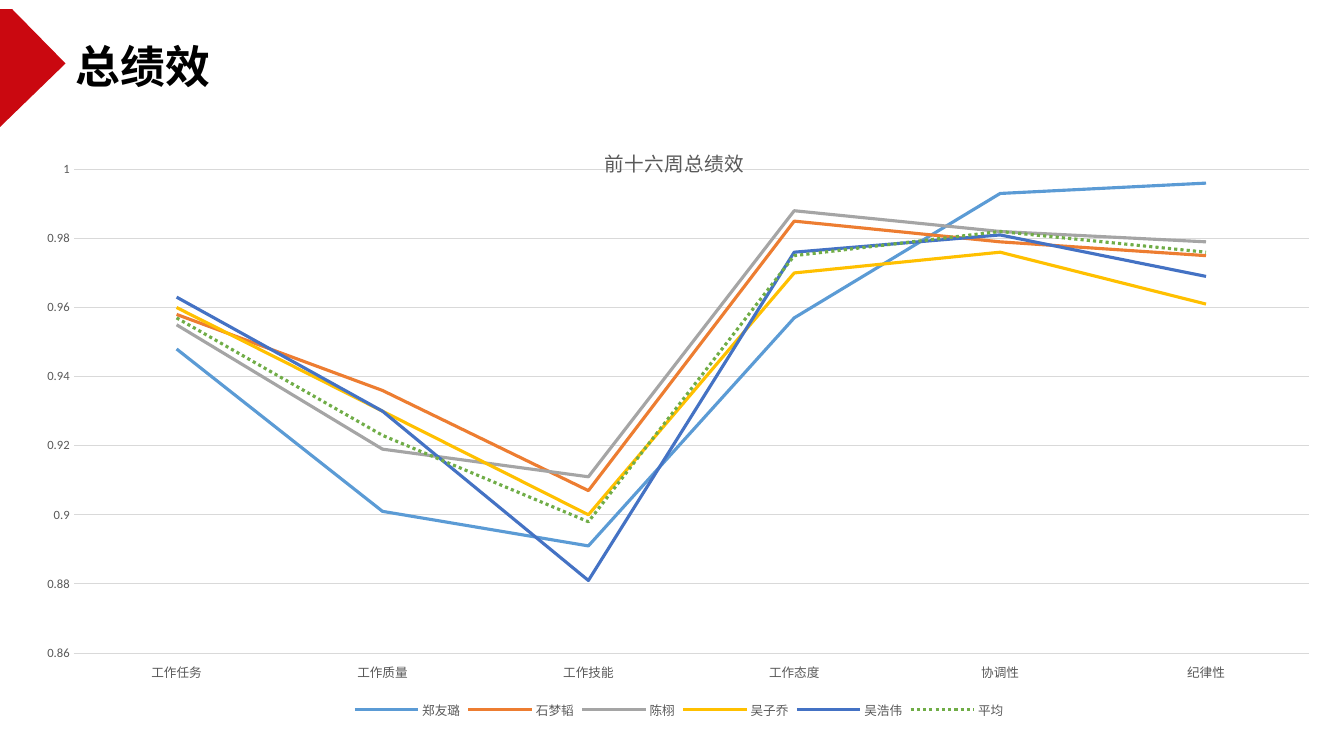
from lxml import etree
from pptx import Presentation
from pptx.chart.data import CategoryChartData
from pptx.dml.color import RGBColor
from pptx.enum.chart import XL_CHART_TYPE, XL_LEGEND_POSITION, XL_TICK_LABEL_POSITION, XL_TICK_MARK
from pptx.enum.dml import MSO_LINE
from pptx.enum.text import MSO_ANCHOR, PP_ALIGN
from pptx.oxml import parse_xml
from pptx.oxml.ns import nsdecls, qn
from pptx.util import Inches, Pt

LINE = XL_CHART_TYPE.LINE
BOTTOM = XL_LEGEND_POSITION.BOTTOM
LOW = XL_TICK_LABEL_POSITION.LOW
NO_TICK = XL_TICK_MARK.NONE
DOTTED = MSO_LINE.ROUND_DOT
MIDDLE = MSO_ANCHOR.MIDDLE
LEFT = PP_ALIGN.LEFT
CJK = "Noto Sans CJK SC"
GREY, GRID = "595959", "D9D9D9"


def color(value):
    return RGBColor.from_string(value)


def add_text(p, text, size=14, fill=GREY, bold=False, font=CJK):
    r = p.add_run()
    r.text = text
    r.font.size, r.font.bold, r.font.name = Pt(size), bold, font
    r.font.color.rgb = color(fill)
    etree.SubElement(r.font._element, qn("a:ea")).set("typeface", font)


prs = Presentation()
prs.slide_width, prs.slide_height = Inches(13.33), Inches(7.5)
s = prs.slides.add_slide(prs.slide_layouts[5])

# Red arrow tab on the left edge
fb = s.shapes.build_freeform(0, Inches(0.09), scale=1.0)
corners = [(0, 1.26), (0.65, 0.63), (0.12, 0.09)]
fb.add_line_segments([(Inches(x), Inches(y)) for x, y in corners], close=True)
sp = fb.convert_to_shape()
sp.shadow.inherit = False
sp.fill.solid()
sp.fill.fore_color.rgb = color("CA0810")
sp.line.fill.background()

# Slide title
title = s.shapes.title
title.left, title.top = Inches(0.65), Inches(0.33)
title.width, title.height = Inches(5.79), Inches(0.64)
tf = title.text_frame
tf.word_wrap = True
tf.vertical_anchor = MIDDLE
tf.paragraphs[0].alignment = LEFT
add_text(tf.paragraphs[0], "总绩效", size=32, fill="000000", bold=True)

# Line chart: name, colour, values
series = [
    ("郑友璐", "5B9BD5", (0.948, 0.901, 0.891, 0.957, 0.993, 0.996)),
    ("石梦韬", "ED7D31", (0.958, 0.936, 0.907, 0.985, 0.979, 0.975)),
    ("陈栩", "A5A5A5", (0.955, 0.919, 0.911, 0.988, 0.982, 0.979)),
    ("吴子乔", "FFC000", (0.96, 0.93, 0.9, 0.97, 0.976, 0.961)),
    ("吴浩伟", "4472C4", (0.963, 0.93, 0.881, 0.976, 0.981, 0.969)),
    ("平均", "70AD47", (0.957, 0.923, 0.898, 0.975, 0.982, 0.976)),
]
data = CategoryChartData(number_format="General")
data.categories = ["工作任务", "工作质量", "工作技能", "工作态度", "协调性", "纪律性"]
for name, _, values in series:
    data.add_series(name, values)
chart = s.shapes.add_chart(LINE, Inches(0.32), Inches(1.17), Inches(12.83), Inches(6), data).chart
chart.font.size, chart.font.name = Pt(10), "Calibri"
chart.plots[0].vary_by_categories = False
for line, (_, fill, _) in zip(chart.plots[0].series, series):
    line.smooth = False
    line.format.line.color.rgb = color(fill)
    line.format.line.width = Pt(2.25)
line.format.line.dash_style = DOTTED

# Chart title and legend
add_text(chart.chart_title.text_frame.paragraphs[0], "前十六周总绩效")
chart.has_legend = True
chart.legend.position = BOTTOM
chart.legend.include_in_layout = False

# Axes
cat_axis, val_axis = chart.category_axis, chart.value_axis
for axis in (cat_axis, val_axis):
    axis.major_tick_mark = axis.minor_tick_mark = NO_TICK
for part in (cat_axis.tick_labels, val_axis.tick_labels, chart.legend):
    part.font.size, part.font.name = Pt(9), "Calibri"
    part.font.color.rgb = color(GREY)
cat_axis.tick_label_position = LOW
val_axis.minimum_scale, val_axis.maximum_scale = 0.86, 1
val_axis.major_unit = 0.02
val_axis.format.line.fill.background()
for rule in (cat_axis.format.line, val_axis.major_gridlines.format.line):
    rule.color.rgb = color(GRID)
    rule.width = Pt(0.75)

# Fixed places of the chart title and the plot area
places = [
    (chart.chart_title._element, 1, {"x": 0.44, "y": 0.04}),
    (chart._chartSpace.chart.plotArea, 0, {"x": 0.032, "y": 0.085, "w": 0.955, "h": 0.8}),
]
for element, index, place in places:
    for old in element.findall(qn("c:layout")):
        element.remove(old)
    target = '<c:layoutTarget val="inner"/>' if "w" in place else ""
    modes = "".join(f'<c:{k}Mode val="edge"/>' for k in "xy")
    sizes = "".join(f'<c:{k} val="{v}"/>' for k, v in place.items())
    element.insert(index, parse_xml(
        f'<c:layout {nsdecls("c")}><c:manualLayout>{target}{modes}{sizes}</c:manualLayout></c:layout>'))

prs.save("out.pptx")
